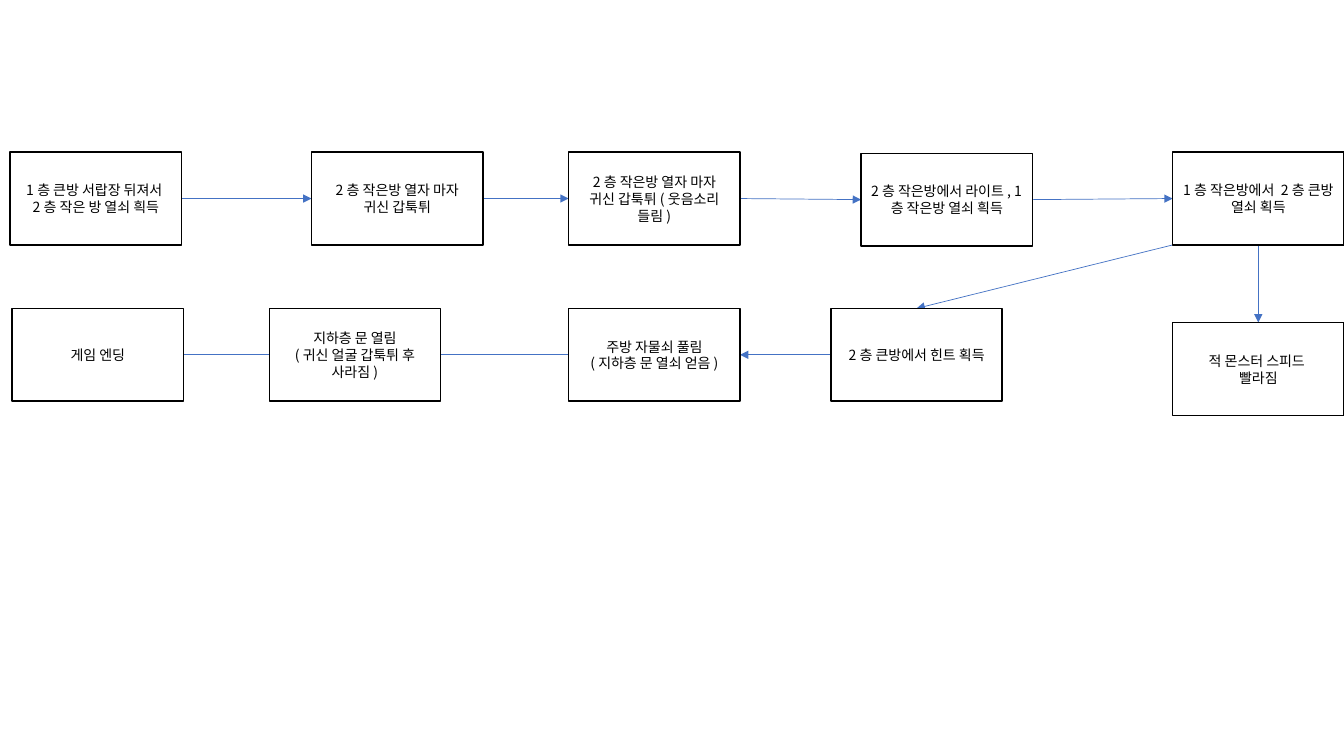
from dataclasses import dataclass

from lxml.etree import SubElement
from pptx import Presentation
from pptx.dml.color import RGBColor
from pptx.enum.shapes import MSO_CONNECTOR as Line, MSO_SHAPE as Preset
from pptx.enum.text import MSO_ANCHOR as Anchor, PP_ALIGN as Align
from pptx.oxml.ns import qn
from pptx.util import Inches, Pt


@dataclass(frozen=True)
class Theme:
    paper: RGBColor = RGBColor(0xFF, 0xFF, 0xFF)
    ink: RGBColor = RGBColor(0, 0, 0)
    arrow: RGBColor = RGBColor(0x44, 0x72, 0xC4)
    font: str = "Noto Sans CJK KR"
    text_size: Pt = Pt(10)
    border: Pt = Pt(1)
    arrow_width: Pt = Pt(0.5)


THEME = Theme()
TOP, LEFT, BOTTOM, RIGHT = range(4)  # connection sites of a rectangle

# Step size and places, in percent of the region
STEP_WIDTH, STEP_HEIGHT = 12.75, 12.27
STEPS = {
    "drawer": (0.75, 20.13, ["1층 큰방 서랍장 뒤져서 ", "2층 작은 방 열쇠 흭득"]),
    "ghost": (23.18, 20.13, ["2층 작은방 열자 마자 귀신 갑툭튀"]),
    "laughter": (42.31, 20.13, ["2층 작은방 열자 마자 귀신 갑툭튀(웃음소리 들림)"]),
    "light": (64.07, 20.27, ["2층 작은방에서 라이트, 1층 작은방 열쇠 흭득"]),
    "big_room_key": (87.25, 20.13, ["1층 작은방에서 2층 큰방 열쇠 획득"]),
    "monster": (87.25, 42.67, ["적 몬스터 스피드 ", "빨라짐"]),
    "hint": (61.82, 40.8, ["2층 큰방에서 힌트 획득"]),
    "kitchen": (42.31, 40.8, ["주방 자물쇠 풀림", "(지하층 문 열쇠 얻음)"]),
    "basement": (20.03, 40.8, ["지하층 문 열림", "(귀신 얼굴 갑툭튀 후", "사라짐)"]),
    "ending": (0.9, 40.8, ["게임 엔딩"]),
}

# Start step, its site (None is the lower left corner), end step, its site
ARROWS = [
    ("drawer", RIGHT, "ghost", LEFT),
    ("ghost", RIGHT, "laughter", LEFT),
    ("laughter", RIGHT, "light", LEFT),
    ("light", RIGHT, "big_room_key", LEFT),
    ("big_room_key", BOTTOM, "monster", TOP),
    ("big_room_key", None, "hint", TOP),
    ("hint", LEFT, "kitchen", RIGHT),
    ("kitchen", LEFT, "basement", LEFT),
    ("basement", LEFT, "ending", LEFT),
]


def add_step(slide, box, lines):
    step = slide.shapes.add_shape(Preset.RECTANGLE, *box)
    step.shadow.inherit = False
    step.fill.solid()
    step.fill.fore_color.rgb = THEME.paper
    step.line.color.rgb = THEME.ink
    step.line.width = THEME.border
    frame = step.text_frame
    frame.word_wrap = True
    frame.vertical_anchor = Anchor.MIDDLE
    for index, line in enumerate(lines):
        paragraph = frame.add_paragraph() if index else frame.paragraphs[0]
        paragraph.alignment = Align.CENTER
        run = paragraph.add_run()
        run.text = line
        run.font.size = THEME.text_size
        run.font.color.rgb = THEME.ink
        run.font.name = THEME.font
        SubElement(run.font._element, qn("a:ea"), typeface=THEME.font)
    return step


def add_arrow(slide, start, start_site, end, end_site):
    corner = start.left, start.top + start.height
    arrow = slide.shapes.add_connector(Line.STRAIGHT, *corner, *corner)
    if start_site is not None:
        arrow.begin_connect(start, start_site)
    arrow.end_connect(end, end_site)
    arrow.line.color.rgb = THEME.arrow
    arrow.line.width = THEME.arrow_width
    SubElement(arrow.line._get_or_add_ln(), qn("a:tailEnd"), type="triangle")
    SubElement(arrow._element.spPr, qn("a:effectLst"))
    # Arrows run behind the steps
    slide.shapes._spTree.insert(2, arrow._element)


def add_game_flow(slide, region):
    left, top, width, height = region
    steps = {}
    for key, (x, y, lines) in STEPS.items():
        box = (
            int(left + width * x / 100),
            int(top + height * y / 100),
            int(width * STEP_WIDTH / 100),
            int(height * STEP_HEIGHT / 100),
        )
        steps[key] = add_step(slide, box, lines)
    for start, start_site, end, end_site in ARROWS:
        add_arrow(slide, steps[start], start_site, steps[end], end_site)


deck = Presentation()
deck.slide_width, deck.slide_height = Inches(13.33), Inches(7.5)
flow_slide = deck.slides.add_slide(deck.slide_layouts[6])
add_game_flow(flow_slide, (0, 0, deck.slide_width, deck.slide_height))
deck.save("out.pptx")
